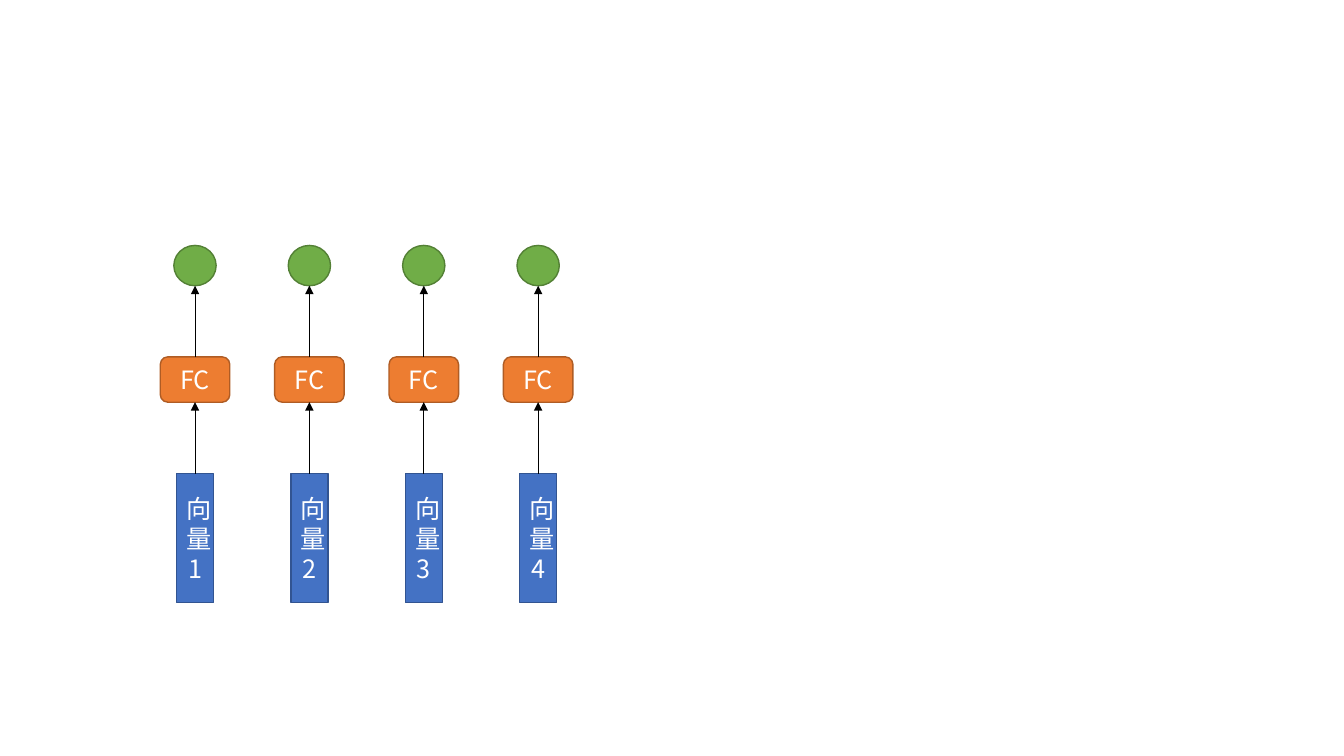
from dataclasses import dataclass

from lxml.etree import SubElement
from pptx import Presentation
from pptx.dml.color import RGBColor as Color
from pptx.enum.shapes import MSO_CONNECTOR as Connector, MSO_SHAPE as Shape
from pptx.enum.text import MSO_ANCHOR as Anchor, PP_ALIGN as Align
from pptx.oxml.ns import qn
from pptx.util import Inches, Pt


@dataclass(frozen=True)
class Theme:
    font: str = "Noto Sans CJK SC"
    text_size: float = 18
    outline: float = 1
    arrow_width: float = 0.5
    text: str = "FFFFFF"
    arrow: str = "000000"
    vector: tuple = ("4472C4", "325491")
    layer: tuple = ("ED7D31", "AF5C24")
    output: tuple = ("70AD47", "538035")


class Diagram:
    columns, rows = 47, 75

    def __init__(self, deck, theme):
        self.theme = theme
        self.page = deck.slides.add_slide(deck.slide_layouts[6])
        self.column = deck.slide_width / self.columns
        self.row = deck.slide_height / self.rows

    def x(self, columns):
        return round(columns * self.column)

    def y(self, rows):
        return round(rows * self.row)

    def node(self, kind, center, top, width, height, colors, label=""):
        node = self.page.shapes.add_shape(
            kind, self.x(center - width / 2), self.y(top), self.x(width), self.y(height)
        )
        fill, outline = colors
        node.shadow.inherit = False
        node.fill.solid()
        node.fill.fore_color.rgb = Color.from_string(fill)
        node.line.color.rgb = Color.from_string(outline)
        node.line.width = Pt(self.theme.outline)
        if label:
            self.label(node.text_frame, label)

    def label(self, frame, text):
        frame.text = text
        frame.word_wrap = True
        frame.vertical_anchor = Anchor.MIDDLE
        para = frame.paragraphs[0]
        para.alignment = Align.CENTER
        span = para.runs[0]
        span.font.size = Pt(self.theme.text_size)
        span.font.color.rgb = Color.from_string(self.theme.text)
        span.font.name = self.theme.font
        SubElement(span.font._element, qn("a:ea"), typeface=self.theme.font)

    def arrow(self, center, start, end):
        arrow = self.page.shapes.add_connector(
            Connector.STRAIGHT, self.x(center), self.y(start), self.x(center), self.y(end)
        )
        arrow.line.color.rgb = Color.from_string(self.theme.arrow)
        arrow.line.width = Pt(self.theme.arrow_width)
        SubElement(arrow.line._get_or_add_ln(), qn("a:tailEnd"), type="triangle")
        SubElement(arrow._element.spPr, qn("a:effectLst"))


deck = Presentation()
deck.slide_width, deck.slide_height = Inches(13.33), Inches(7.5)
theme = Theme()
diagram = Diagram(deck, theme)

first_center, pitch, vector_count = 6.82, 4, 4
centers = [first_center + pitch * index for index in range(vector_count)]
vector_top, vector_height = 47, 12.8
layer_top, layer_height = 35.4, 4.5
output_top, output_height = 24.35, 4

for number, center in enumerate(centers, 1):
    diagram.node(
        Shape.RECTANGLE, center, vector_top, 1.3, vector_height, theme.vector, f"向量{number}"
    )
for center in centers:
    diagram.node(
        Shape.ROUNDED_RECTANGLE, center, layer_top, 2.43, layer_height, theme.layer, "FC"
    )
for center in centers:
    diagram.node(Shape.OVAL, center, output_top, 1.48, output_height, theme.output)
for start, end in (
    (vector_top, layer_top + layer_height),
    (layer_top, output_top + output_height),
):
    for center in centers:
        diagram.arrow(center, start, end)

deck.save("out.pptx")
